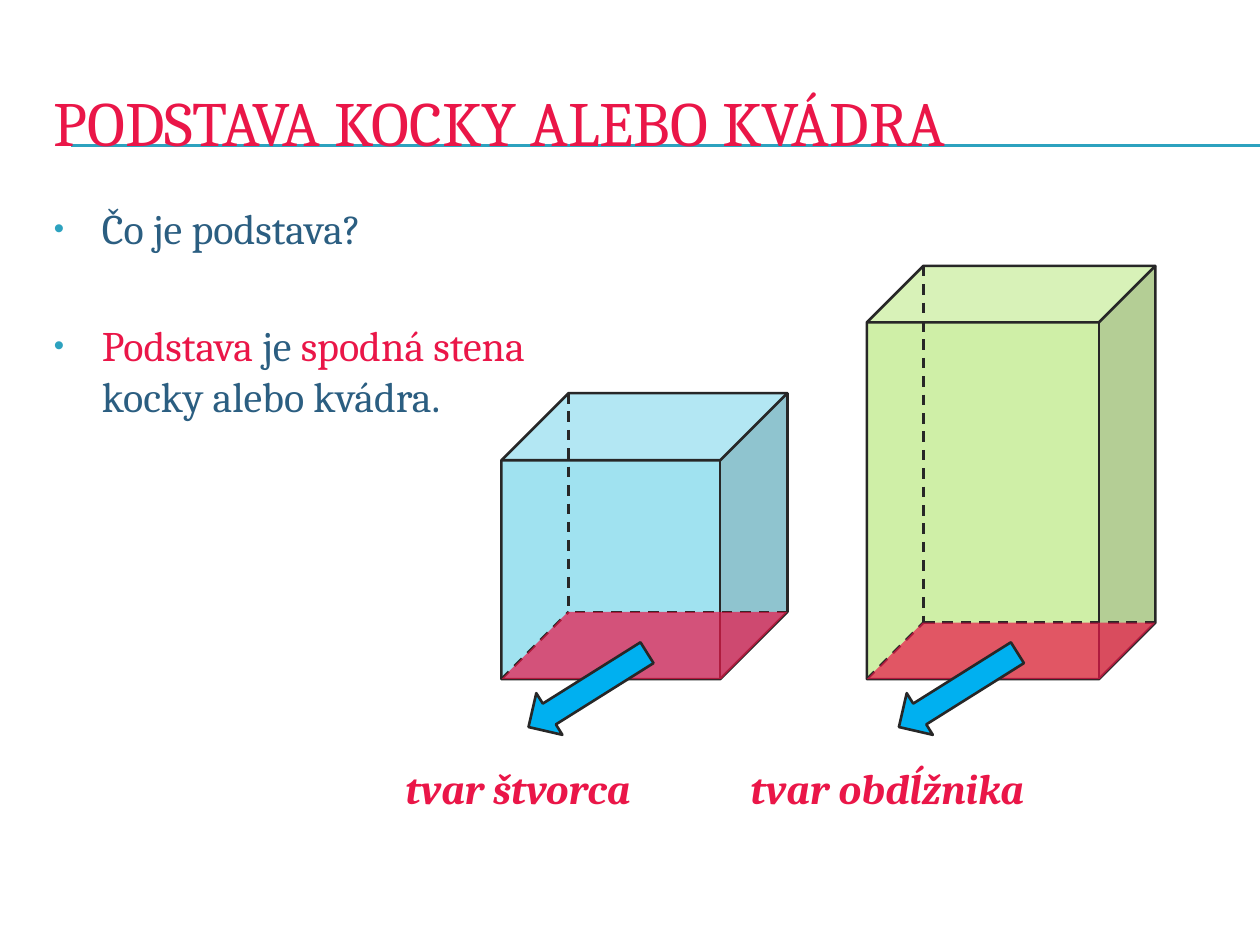
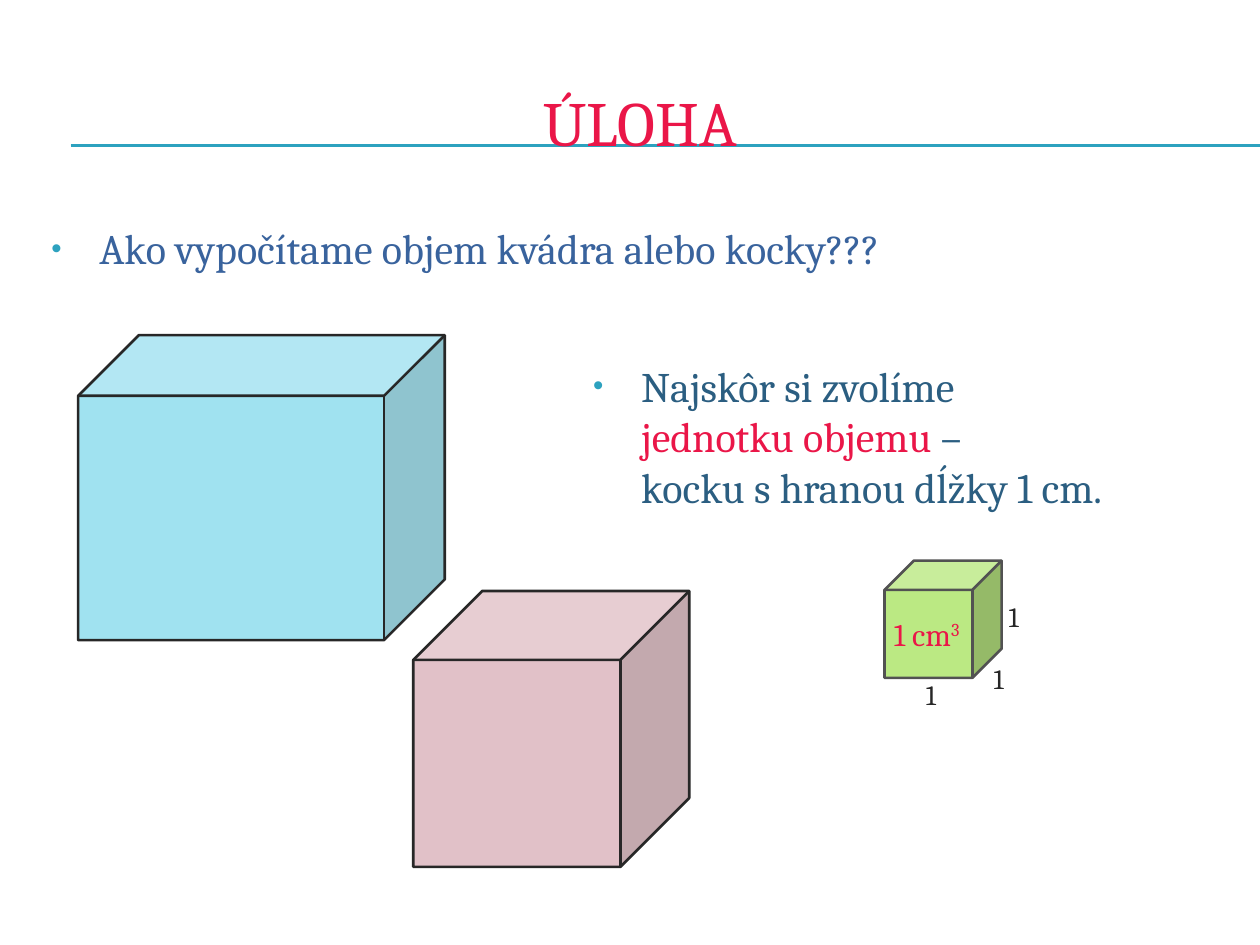
from lxml import etree
from pptx import Presentation
from pptx.dml.color import RGBColor
from pptx.enum.dml import MSO_LINE_DASH_STYLE as Dash
from pptx.enum.shapes import MSO_CONNECTOR as Connector, MSO_SHAPE as Shape
from pptx.enum.text import MSO_ANCHOR as Anchor, PP_ALIGN as Align
from pptx.oxml.ns import qn
from pptx.util import Inches, Pt

# Shared style
FONT = "Cambria"
RED = RGBColor(0xEA, 0x16, 0x48)
TEAL = RGBColor(0x2D, 0xA2, 0xBF)
NAVY = RGBColor(0x2B, 0x5E, 0x81)
INDIGO = RGBColor(0x39, 0x63, 0x9D)
INK = RGBColor(0x27, 0x27, 0x27)
GRAY = RGBColor(0x52, 0x52, 0x52)
CYAN = RGBColor(0x78, 0xD6, 0xEA)
GREEN = RGBColor(0xBB, 0xE9, 0x83)
PINK = RGBColor(0xD5, 0xA7, 0xB1)
ARROW_BLUE = RGBColor(0x00, 0xB0, 0xF0)

WIDTH, HEIGHT = 10, 7.5
TITLE_BOX = (0.33, 0.5, 9.5, 0.92)
RULE_LEFT, RULE_TOPS = 0.56, (1.15, 1.16)
HANGING = 0.38
OPACITY = 70

# Content: a paragraph is a list of (text, colour) runs; "\n" breaks the line
BASE_TITLE = "PODSTAVA KOCKY ALEBO KVÁDRA"
BASE_POINTS = [
    [("Čo je podstava?", NAVY)],
    [("Podstava", RED), (" je ", NAVY), ("spodná stena", RED),
     ("\nkocky alebo kvádra.", NAVY)],
]
# box, depth share, fill, arrow left, label, label box
BASE_SOLIDS = [
    ((3.98, 3.12, 2.27, 2.27), 0.235, CYAN, 4.11,
     "tvar štvorca", (3.12, 6, 2.11, 0.57)),
    ((6.88, 2.11, 2.29, 3.28), 0.196, GREEN, 7.05,
     "tvar obdĺžnika", (5.86, 6, 2.5, 0.57)),
]

TASK_TITLE = "ÚLOHA"
TASK_TEXTS = [
    ((0.31, 1.72, 7.58, 0.64),
     [[("Ako vypočítame objem kvádra alebo kocky???", INDIGO)]]),
    ((4.61, 2.81, 4.92, 2.27),
     [[("Najskôr si zvolíme\n", NAVY), ("jednotku objemu", RED),
       (" –\nkocku s hranou dĺžky 1 cm.", NAVY)]]),
]
# box, depth share, fill, line, opacity
TASK_SOLIDS = [
    ((0.62, 2.66, 2.91, 2.42), 0.199, CYAN, INK, OPACITY),
    ((7.02, 4.45, 0.93, 0.93), 0.25, GREEN, GRAY, 100),
    ((3.28, 4.69, 2.19, 2.19), 0.25, PINK, INK, OPACITY),
]
EDGE_LABELS = [(7.25, 5.33, 0.25, 0.37), (7.89, 4.71, 0.31, 0.37),
               (7.77, 5.2, 0.31, 0.37)]
UNIT_BOX = (6.95, 4.83, 0.81, 0.4)


def inches(values):
    return [Inches(value) for value in values]


def add_bullet(paragraph):
    properties = paragraph._p.get_or_add_pPr()
    properties.set("marL", str(Inches(HANGING)))
    properties.set("indent", str(-Inches(HANGING)))
    color = etree.SubElement(properties, qn("a:buClr"))
    etree.SubElement(color, qn("a:srgbClr"), val=str(TEAL))
    etree.SubElement(properties, qn("a:buSzPct"), val="70000")
    etree.SubElement(properties, qn("a:buFont"), typeface="Arial")
    etree.SubElement(properties, qn("a:buChar"), char="•")


def add_text(slide, box, paragraphs, size=24, color=RED, bold=False,
             italic=False, align=Align.LEFT, anchor=Anchor.TOP,
             bullets=False, wrap=True, gap=38):
    """Add a text box; paragraphs is a string or lists of (text, colour)."""
    if isinstance(paragraphs, str):
        paragraphs = [[(paragraphs, color)]]
    frame = slide.shapes.add_textbox(*inches(box)).text_frame
    frame.word_wrap = wrap
    frame.vertical_anchor = anchor
    for index, runs in enumerate(paragraphs):
        paragraph = frame.add_paragraph() if index else frame.paragraphs[0]
        paragraph.alignment = align
        if bullets:
            add_bullet(paragraph)
        if index:
            paragraph.space_before = Pt(gap)
        paragraph.font.size = Pt(size)
        for text, run_color in runs:
            for number, part in enumerate(text.split("\n")):
                if number:
                    paragraph.add_line_break()
                if not part:
                    continue
                run = paragraph.add_run()
                run.text = part
                font = run.font
                font.name, font.size = FONT, Pt(size)
                font.bold, font.italic = bold, italic
                font.color.rgb = run_color
    return frame


def add_line(slide, start, end, color, width, dash=None):
    line = slide.shapes.add_connector(Connector.STRAIGHT, *inches(start + end))
    line.line.color.rgb = color
    line.line.width = Pt(width)
    if dash:
        line.line.dash_style = dash
    etree.SubElement(line._element.spPr, qn("a:effectLst"))


def add_figure(slide, kind, box, fill, line=None, opacity=100, adjust=None):
    shape = slide.shapes.add_shape(kind, *inches(box))
    shape.shadow.inherit = False
    shape.fill.solid()
    shape.fill.fore_color.rgb = fill
    if opacity < 100:
        color = shape._element.spPr.find(qn("a:solidFill"))[0]
        etree.SubElement(color, qn("a:alpha"), val=str(opacity * 1000))
    if line is None:
        shape.line.fill.background()
    else:
        shape.line.color.rgb = line
        shape.line.width = Pt(1.5)
    if adjust is not None:
        shape.adjustments[0] = adjust
    return shape


def add_solid_with_base(slide, box, share, fill):
    """Draw a solid, its three hidden edges and its highlighted base."""
    left, top, width, height = box
    right, bottom = left + width, top + height
    depth = share * min(width, height)
    add_figure(slide, Shape.CUBE, box, fill, INK, OPACITY, share)
    hidden_corner = (left + depth, bottom - depth)
    for corner in ((left + depth, top), (right, bottom - depth), (left, bottom)):
        add_line(slide, corner, hidden_corner, INK, 1.5, Dash.DASH)
    add_figure(slide, Shape.PARALLELOGRAM, (left, bottom - depth, width, depth),
               RED, opacity=OPACITY, adjust=0.99)


def new_slide(presentation, title, align=Align.LEFT):
    slide = presentation.slides.add_slide(presentation.slide_layouts[6])
    for top in RULE_TOPS:
        add_line(slide, (RULE_LEFT, top), (WIDTH, top), TEAL, 0.75)
    add_text(slide, TITLE_BOX, title, size=36, align=align, anchor=Anchor.MIDDLE)
    return slide


def build_base_slide(presentation):
    slide = new_slide(presentation, BASE_TITLE)
    add_text(slide, (0.33, 1.56, 4.35, 2.27), BASE_POINTS, bullets=True)
    for box, share, fill, arrow_left, label, label_box in BASE_SOLIDS:
        add_solid_with_base(slide, box, share, fill)
        arrow = add_figure(slide, Shape.LEFT_ARROW, (arrow_left, 5.28, 1.11, 0.39),
                           ARROW_BLUE, INK)
        arrow.rotation = 327.9
        add_text(slide, label_box, label, bold=True, italic=True)


def build_task_slide(presentation):
    slide = new_slide(presentation, TASK_TITLE, Align.CENTER)
    for box, paragraphs in TASK_TEXTS:
        add_text(slide, box, paragraphs, bullets=True)
    for box, share, fill, line, opacity in TASK_SOLIDS:
        add_figure(slide, Shape.CUBE, box, fill, line, opacity, share)
    # Unit cube labels
    for box in EDGE_LABELS:
        add_text(slide, box, "1", size=16, color=INK, align=Align.CENTER, wrap=False)
    unit = add_text(slide, UNIT_BOX, [[("1 cm", RED), ("3", RED)]], size=18,
                    align=Align.CENTER, wrap=False)
    exponent = unit.paragraphs[0].runs[-1]
    exponent.font._element.set("baseline", "30000")


def main():
    presentation = Presentation()
    presentation.slide_width, presentation.slide_height = inches((WIDTH, HEIGHT))
    build_base_slide(presentation)
    build_task_slide(presentation)
    presentation.save("out.pptx")


if __name__ == "__main__":
    main()
